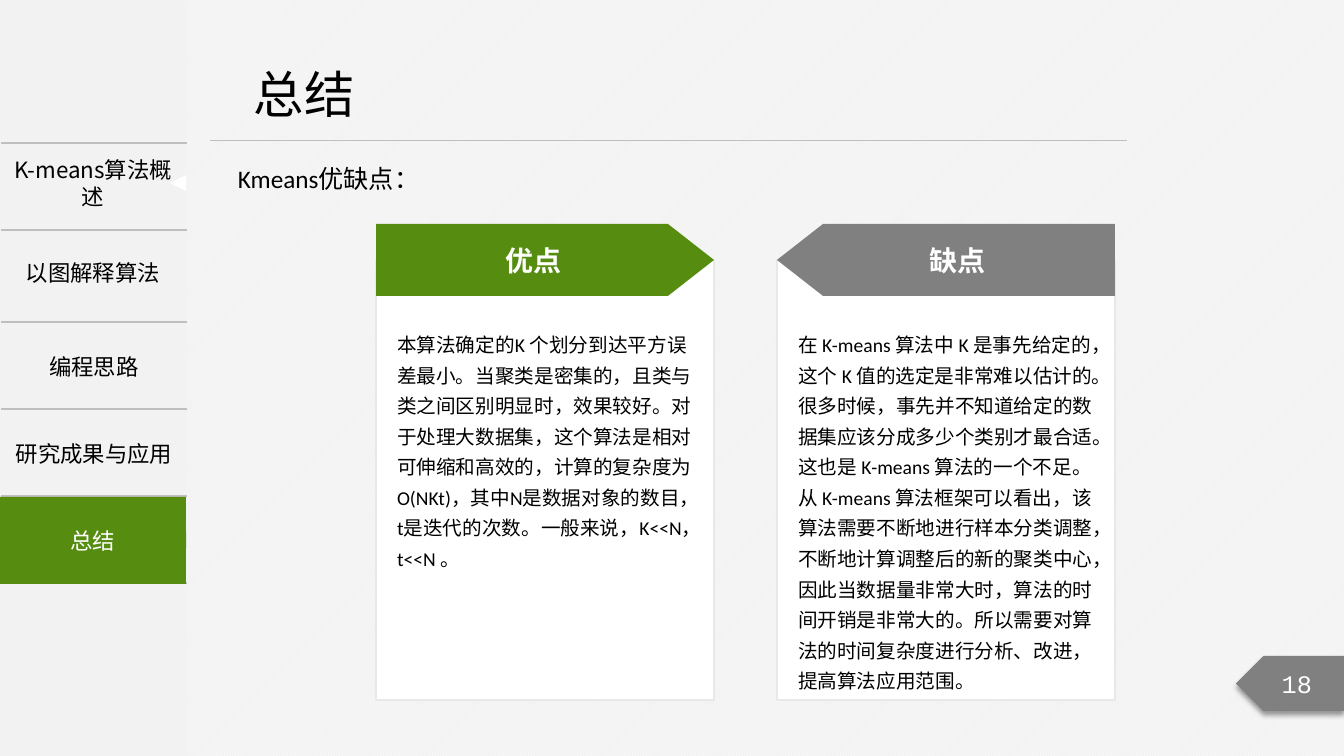
from lxml.etree import SubElement
from pptx import Presentation
from pptx.dml.color import RGBColor
from pptx.enum.dml import MSO_PATTERN
from pptx.enum.shapes import MSO_CONNECTOR, MSO_SHAPE
from pptx.enum.text import MSO_ANCHOR, PP_ALIGN
from pptx.oxml import parse_xml
from pptx.oxml.ns import nsdecls, qn
from pptx.util import Pt

SCALE = 914400 / 100.8
SANS = "Noto Sans CJK SC"
GREEN, GREY, WHITE, BLACK = "568D11", "808080", "FFFFFF", "000000"
PALE, RULE = "F2F2F2", "BFBFBF"
hue = RGBColor.from_string


def px(*nums):
    return [round(n * SCALE) for n in nums]


def write(frame, text, size, color=BLACK, face=SANS, bold=False,
          align=PP_ALIGN.CENTER, anchor=MSO_ANCHOR.MIDDLE, wrap=True, pad=(10, 5)):
    frame.word_wrap = wrap
    frame.vertical_anchor = anchor
    frame.margin_left = frame.margin_right = px(pad[0])[0]
    frame.margin_top = frame.margin_bottom = px(pad[1])[0]
    para = frame.paragraphs[0]
    para.alignment = align
    run = para.add_run()
    run.text = text
    run.font.size = Pt(size)
    run.font.bold = bold
    run.font.color.rgb = hue(color)
    run.font.name = face
    SubElement(run.font._element, qn("a:ea")).set("typeface", SANS)
    return para


deck = Presentation()
deck.slide_width, deck.slide_height = px(1344, 756)
slide = deck.slides.add_slide(deck.slide_layouts[5])
shapes = slide.shapes


def block(kind, box, fill, line=None):
    shape = shapes.add_shape(kind, *px(*box))
    shape.shadow.inherit = False
    shape.fill.solid()
    shape.fill.fore_color.rgb = hue(fill)
    if line:
        shape.line.color.rgb = hue(line)
        shape.line.width = Pt(1)
    else:
        shape.line.fill.background()
    return shape


# Background
back = slide.background.fill
back.patterned()
back.pattern = MSO_PATTERN.LIGHT_UPWARD_DIAGONAL
back.fore_color.rgb = hue(WHITE)
back.back_color.rgb = hue(PALE)

# Title and rule
block(MSO_SHAPE.RECTANGLE, (0, 0, 186, 756), PALE)
title = shapes.title
title.left, title.top, title.width, title.height = px(244, 58, 122, 72)
write(title.text_frame, "总结", 36, align=PP_ALIGN.LEFT, anchor=MSO_ANCHOR.TOP, wrap=False)
rule = shapes.add_connector(MSO_CONNECTOR.STRAIGHT, *px(210, 140, 1127, 140))
rule.line.color.rgb = hue(RULE)
rule.line.width = Pt(0.5)
SubElement(rule._element.spPr, qn("a:effectLst"))

# Page number
page = block(MSO_SHAPE.PENTAGON, (1236, 656, 108, 55), GREY)
page._element.spPr.xfrm.set("flipH", "1")
write(page.text_frame, "18", 18, WHITE, "Courier New")
cast = page._element.spPr.find(qn("a:effectLst"))
cast.append(parse_xml(
    f'<a:outerShdw {nsdecls("a")} blurRad="50800" dist="38100" dir="5400000" algn="t" '
    'rotWithShape="0"><a:srgbClr val="000000"><a:alpha val="40000"/></a:srgbClr></a:outerShdw>'))

# Sidebar table
rows = [87, 92, 87, 87, 87]
menu = shapes.add_table(5, 1, *px(1, 143, 186, sum(rows))).table
menu.first_row = menu.horz_banding = False
labels = ["", "", "编程思路", "研究成果与应用", ""]
for row, high, label in zip(menu.rows, rows, labels):
    row.height = px(high)[0]
    cell = row.cells[0]
    cell.fill.background()
    cell.vertical_anchor = MSO_ANCHOR.MIDDLE
    if label:
        write(cell.text_frame, label, 16)
        cell.vertical_anchor = MSO_ANCHOR.MIDDLE
    props = cell._tc.get_or_add_tcPr()
    for spot, side in enumerate("LRTB"):
        ink = f'<a:solidFill><a:srgbClr val="{RULE}"/></a:solidFill>' if side in "TB" else "<a:noFill/>"
        props.insert(spot, parse_xml(f'<a:ln{side} {nsdecls("a")} w="12700">{ink}</a:ln{side}>'))

# Sidebar entries
for top, label in [(140, "K-means算法概述"), (229, "以图解释算法")]:
    entry = shapes.add_textbox(*px(0, top, 186, 87))
    write(entry.text_frame, label, 16)
now = block(MSO_SHAPE.RECTANGLE, (0, 497, 186, 87), GREEN)
write(now.text_frame, "总结", 16, WHITE)
for top, fill in [(175, WHITE), (532, GREEN)]:
    mark = block(MSO_SHAPE.ISOSCELES_TRIANGLE, (170, top, 16, 16), fill)
    mark.rotation = 270

# Pros and cons
cards = [
    (376, "优点", GREEN, 253,
     "本算法确定的K 个划分到达平方误差最小。当聚类是密集的，且类与类之间区别明显时，效果较好。"
     "对于处理大数据集，这个算法是相对可伸缩和高效的，计算的复杂度为O(NKt)，"
     "其中N是数据对象的数目，t是迭代的次数。一般来说，K<<N，t<<N 。"),
    (777, "缺点", GREY, 379,
     "在 K-means 算法中 K 是事先给定的，这个 K 值的选定是非常难以估计的。"
     "很多时候，事先并不知道给定的数据集应该分成多少个类别才最合适。"
     "这也是 K-means 算法的一个不足。从 K-means 算法框架可以看出，"
     "该算法需要不断地进行样本分类调整，不断地计算调整后的新的聚类中心，"
     "因此当数据量非常大时，算法的时间开销是非常大的。"
     "所以需要对算法的时间复杂度进行分析、改进，提高算法应用范围。"),
]
for left, head, fill, high, text in cards:
    block(MSO_SHAPE.RECTANGLE, (left, 260, 338, 440), WHITE, "E8E8E6")
    flag = block(MSO_SHAPE.PENTAGON, (left, 224, 338, 72), fill)
    flag.adjustments[0] = 0.64
    if fill == GREY:
        flag._element.spPr.xfrm.set("flipH", "1")
    write(flag.text_frame, head, 20, WHITE, bold=True, wrap=False, pad=(8, 4))
    body = shapes.add_textbox(*px(left + 13, 322, 325, high))
    para = write(body.text_frame, text, 14, face="Calibri", align=PP_ALIGN.LEFT,
                 anchor=MSO_ANCHOR.TOP, pad=(8, 4))
    para.line_spacing = 1.3

# Lead line
lead = shapes.add_textbox(*px(228, 158, 251, 40))
write(lead.text_frame, "Kmeans优缺点：", 18, face="Calibri", align=PP_ALIGN.LEFT, anchor=MSO_ANCHOR.TOP)

deck.save("out.pptx")
